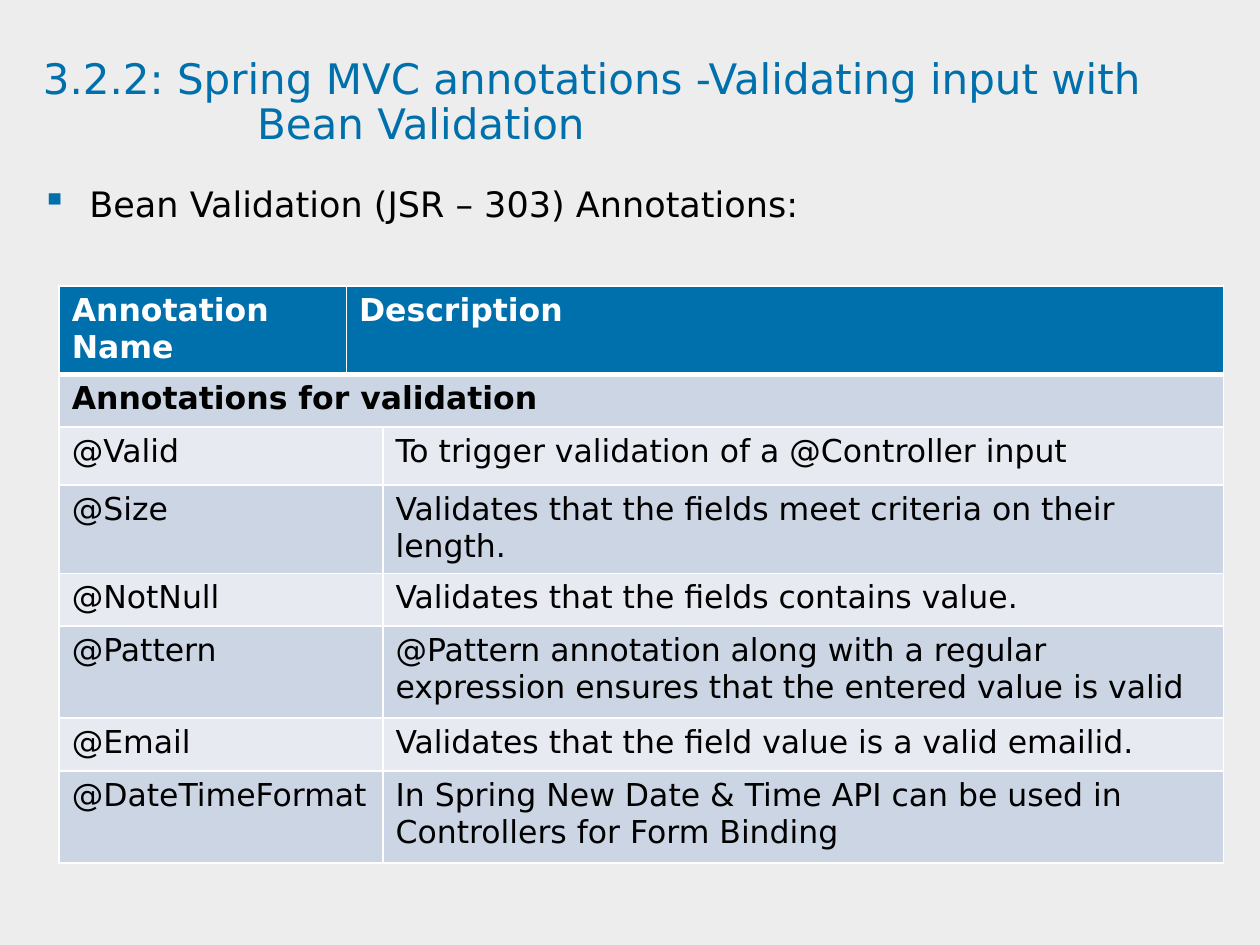
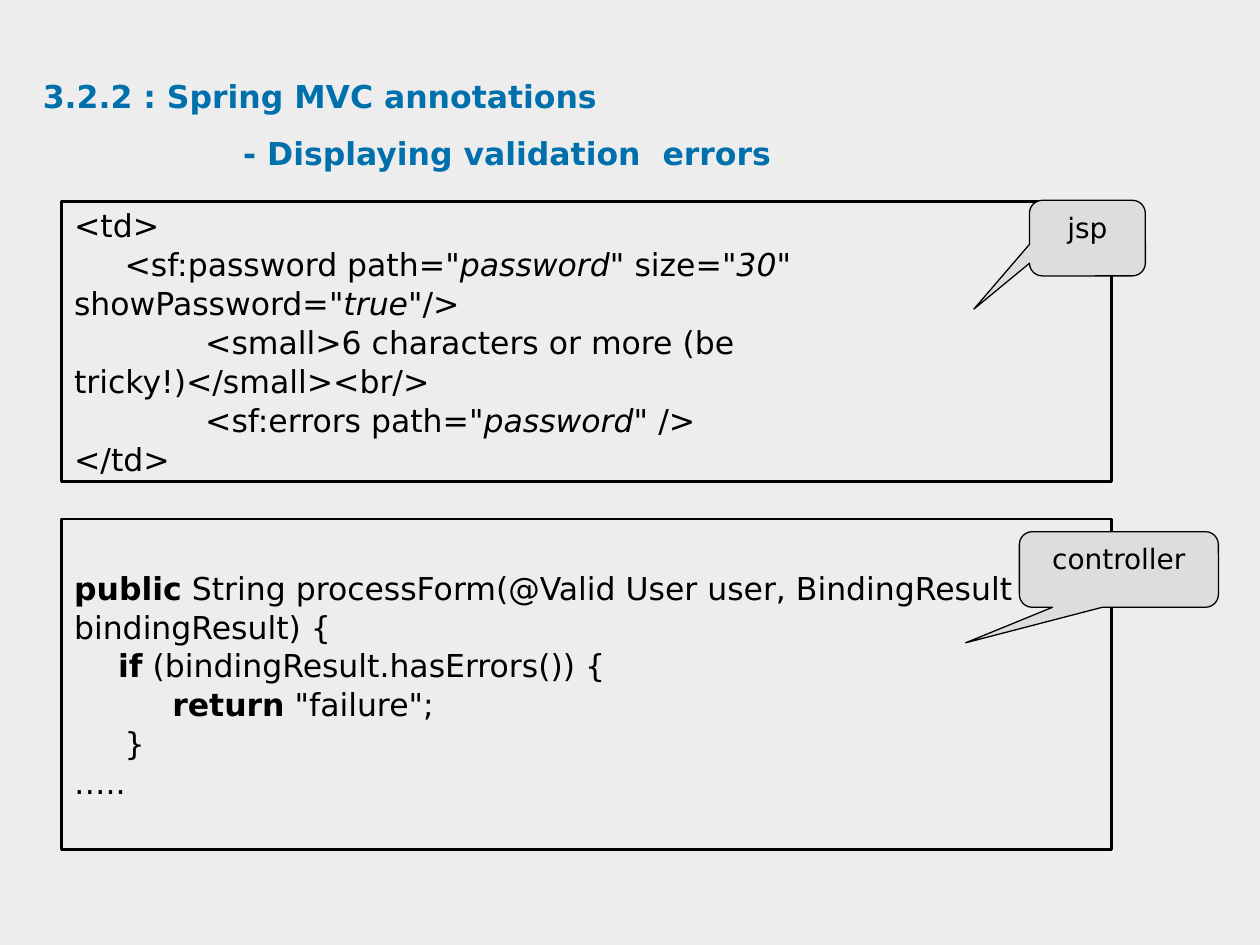
from pptx import Presentation
from pptx.dml.color import RGBColor
from pptx.enum.shapes import MSO_SHAPE as Shape
from pptx.enum.text import MSO_ANCHOR as Anchor, MSO_AUTO_SIZE as AutoSize, PP_ALIGN as Align
from pptx.oxml.ns import qn
from pptx.util import Inches, Pt
from lxml.etree import SubElement

FONT = "DejaVu Sans"
BLUE, BLACK, WHITE = "0070AD", "000000", "FFFFFF"
BACKDROP, CALLOUT_GREY = "EDEDED", "DDDDDD"
ROW_FILLS = ["CCD5E3", "E7EBF1"]
COLUMN_WIDTHS = [2.28, 0.29, 6.67]
ROW_HEIGHTS = [0.59, 0.42, 0.46, 0.42, 0.42, 0.73, 0.42, 0.73]

ANNOTATIONS = [
    ("@Valid", "To trigger validation of a @Controller input"),
    ("@Size", "Validates that the fields meet criteria on their length."),
    ("@NotNull", "Validates that the fields contains value."),
    ("@Pattern", "@Pattern annotation along with a regular expression "
                 "ensures that the entered value is valid"),
    ("@Email", "Validates that the field value is a valid emailid."),
    ("@DateTimeFormat", "In Spring New Date & Time API can be used in "
                        "Controllers for Form Binding"),
]

JSP_CODE = [
    (0, [("<td>", "")]),
    (0.4, [("<sf:password path=", ""), ('"password"', "italic"), (" size=", ""),
           ('"30" ', "italic"), ("showPassword=", ""), ('"true"', "italic"), ("/>", "")]),
    (1.04, [("<small>6 characters or more (be tricky!)</small><br/>", "")]),
    (1.04, [("<sf:errors path=", ""), ('"password"', "italic"), (" />", "")]),
    (0, [("</td>", "")]),
]

CONTROLLER_CODE = [
    (0, [("public", "bold"),
         (" String processForm(@Valid User user, BindingResult bindingResult) {", "")]),
    (0.35, [("if", "bold"), (" (bindingResult.hasErrors()) {", "")]),
    (0.78, [("return", "bold"), (' "failure";', "")]),
    (0.4, [("}", "")]),
    (0, [("…..", "")]),
]


def color(code):
    return RGBColor.from_string(code)


def inches(box):
    return [Inches(length) for length in box]


def style_span(span, size, code, bold=False, italic=False):
    font = span.font
    font.name, font.size, font.bold, font.italic = FONT, Pt(size), bold, italic
    font.color.rgb = color(code)


def style_frame(frame, size, code, bold=False):
    for para in frame.paragraphs:
        for span in para.runs:
            style_span(span, size, code, bold)


def set_margins(frame, margin):
    frame.margin_left = frame.margin_right = Inches(margin)
    frame.margin_top = frame.margin_bottom = Inches(margin)


def set_indent(para, left, first):
    properties = para._p.get_or_add_pPr()
    properties.set("marL", str(Inches(left)))
    properties.set("indent", str(Inches(first)))
    return properties


def add_page(deck, title, box, size, hang, spacing, bold=False):
    page = deck.slides.add_slide(deck.slide_layouts[5])
    heading = page.shapes.title
    heading.left, heading.top, heading.width, heading.height = inches(box)
    frame = heading.text_frame
    frame.text = title
    frame.word_wrap, frame.auto_size = True, AutoSize.NONE
    frame.vertical_anchor = Anchor.TOP
    set_margins(frame, 0)
    para = frame.paragraphs[0]
    para.alignment, para.line_spacing = Align.LEFT, spacing
    set_indent(para, hang, -hang)
    style_frame(frame, size, BLUE, bold)
    return page


def add_bullet(page, box, text):
    frame = page.shapes.add_textbox(*inches(box)).text_frame
    frame.text = text
    frame.word_wrap = True
    set_margins(frame, 0)
    para = frame.paragraphs[0]
    para.line_spacing, para.space_after = Pt(16.5), Pt(4.5)
    properties = set_indent(para, 0.38, -0.38)
    tint = SubElement(properties, qn("a:buClr"))
    SubElement(tint, qn("a:srgbClr")).set("val", BLUE)
    SubElement(properties, qn("a:buChar")).set("char", "▪")
    style_frame(frame, 20, BLACK)


def style_cell(cell, fill, bottom_width=1):
    properties = cell._tc.get_or_add_tcPr()
    for side, width in (("L", 1), ("R", 1), ("T", 1), ("B", bottom_width)):
        border = SubElement(properties, qn(f"a:ln{side}"))
        border.set("w", str(Pt(width)))
        paint = SubElement(border, qn("a:solidFill"))
        SubElement(paint, qn("a:srgbClr")).set("val", WHITE)
    cell.fill.solid()
    cell.fill.fore_color.rgb = color(fill)


def write_cell(cell, text, code=BLACK, bold=False):
    cell.text = text
    style_frame(cell.text_frame, 18, code, bold)


def add_annotation_table(page, box):
    table = page.shapes.add_table(len(ROW_HEIGHTS), len(COLUMN_WIDTHS), *inches(box)).table
    table.first_row = table.horz_banding = False
    for column, width in zip(table.columns, COLUMN_WIDTHS):
        column.width = Inches(width)
    for index, height in enumerate(ROW_HEIGHTS):
        table.rows[index].height = Inches(height)
        for cell in table.rows[index].cells:
            if index == 0:
                style_cell(cell, BLUE, 3)
            else:
                style_cell(cell, ROW_FILLS[(index - 1) % 2])
    table.cell(0, 1).merge(table.cell(0, 2))
    table.cell(1, 0).merge(table.cell(1, 2))
    write_cell(table.cell(0, 0), "Annotation Name", WHITE, True)
    write_cell(table.cell(0, 1), "Description", WHITE, True)
    write_cell(table.cell(1, 0), "Annotations for validation", bold=True)
    for row, (name, description) in enumerate(ANNOTATIONS, start=2):
        table.cell(row, 0).merge(table.cell(row, 1))
        write_cell(table.cell(row, 0), name)
        write_cell(table.cell(row, 2), description)


def add_outlined(page, kind, box, adjustments, line_width):
    shape = page.shapes.add_shape(kind, *inches(box))
    shape.shadow.inherit = False
    for index, value in enumerate(adjustments):
        shape.adjustments[index] = value
    shape.line.color.rgb = color(BLACK)
    shape.line.width = Pt(line_width)
    shape.text_frame.word_wrap = True
    return shape


def add_code_box(page, box, lines):
    shape = add_outlined(page, Shape.ROUNDED_RECTANGLE, box, [0], 1.5)
    shape.fill.background()
    frame = shape.text_frame
    frame.vertical_anchor = Anchor.MIDDLE
    frame.margin_right = Inches(0.15)
    for index, (indent, spans) in enumerate(lines):
        para = frame.add_paragraph() if index else frame.paragraphs[0]
        para.alignment, para.line_spacing = Align.LEFT, 1.03
        set_indent(para, 0, indent)
        for text, style in spans:
            span = para.add_run()
            span.text = text
            style_span(span, 18, BLACK, style == "bold", style == "italic")


def add_callout(page, box, text, tip):
    shape = add_outlined(page, Shape.ROUNDED_RECTANGULAR_CALLOUT, box, [*tip, 0.17], 0.75)
    shape.fill.solid()
    shape.fill.fore_color.rgb = color(CALLOUT_GREY)
    frame = shape.text_frame
    frame.text = text
    frame.vertical_anchor = Anchor.TOP
    frame.paragraphs[0].alignment = Align.CENTER
    style_frame(frame, 16, BLACK)


def build_annotations_page(deck):
    page = add_page(deck, "3.2.2: Spring MVC annotations -Validating input with\vBean Validation",
                    (0.34, 0.46, 9.09, 0.82), 24, 1.7, 0.9)
    add_bullet(page, (0.33, 1.55, 9.67, 1.08), "Bean Validation (JSR – 303) Annotations:")
    add_annotation_table(page, (0.47, 2.27, sum(COLUMN_WIDTHS), sum(ROW_HEIGHTS)))


def build_errors_page(deck):
    page = add_page(deck, "3.2.2 : Spring MVC annotations\v- Displaying validation  errors",
                    (0.34, 0.46, 9.09, 0.84), 18, 1.59, 1.5, True)
    add_code_box(page, (0.49, 1.6, 8.33, 2.22), JSP_CODE)
    add_code_box(page, (0.49, 4.12, 8.33, 2.62), CONTROLLER_CODE)
    add_callout(page, (8.17, 1.59, 0.92, 0.6), "jsp", (-0.98, 0.94))
    add_callout(page, (8.09, 4.22, 1.58, 0.6), "controller", (-0.77, 0.97))


def main():
    deck = Presentation()
    deck.slide_width, deck.slide_height = Inches(10), Inches(7.5)
    backdrop = deck.slide_master.background.fill
    backdrop.solid()
    backdrop.fore_color.rgb = color(BACKDROP)
    build_annotations_page(deck)
    build_errors_page(deck)
    deck.save("out.pptx")


if __name__ == "__main__":
    main()
